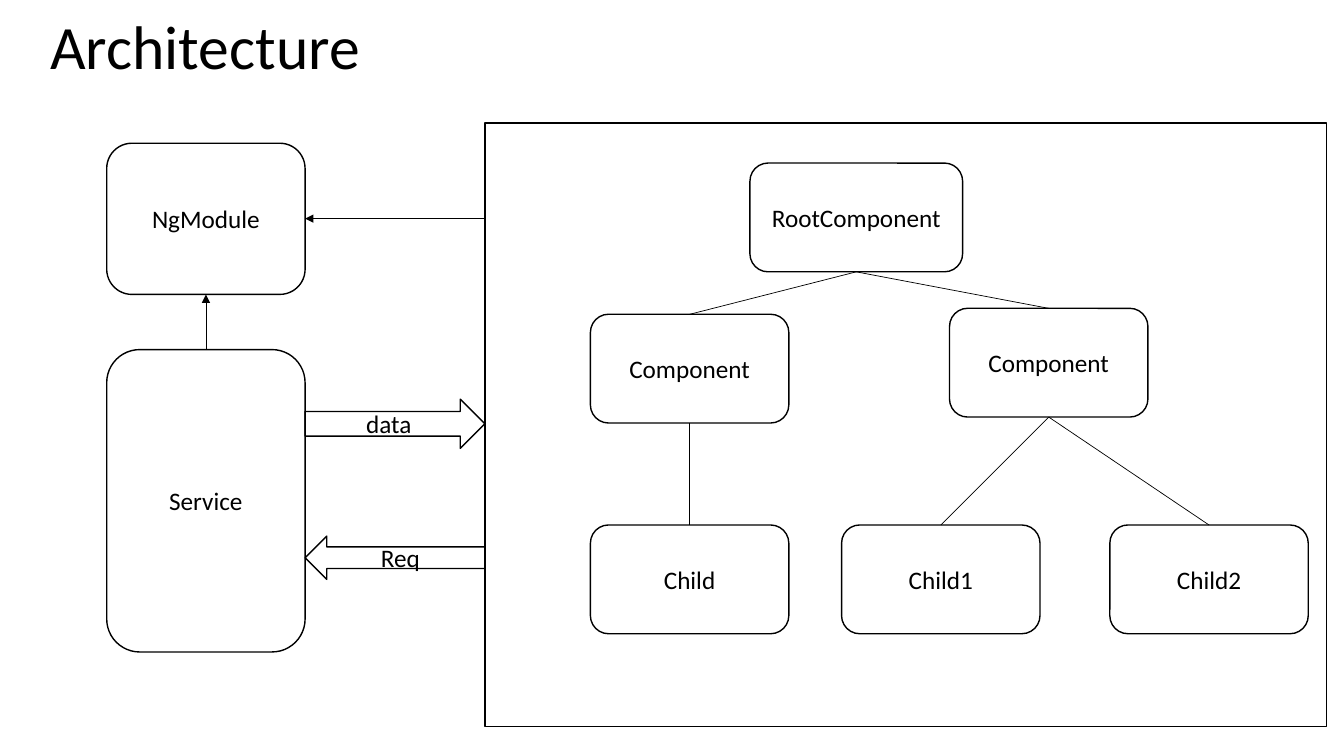
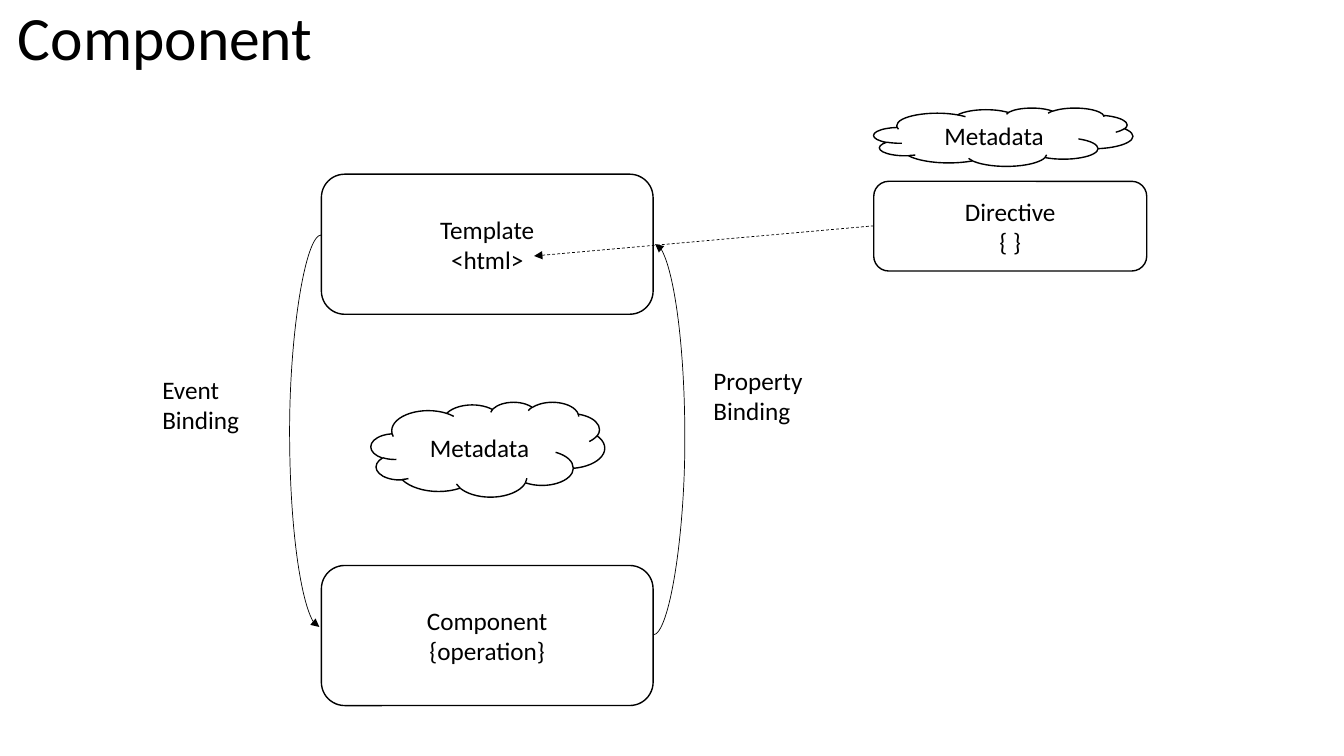
from dataclasses import dataclass

from pptx import Presentation
from pptx.dml.color import RGBColor
from pptx.enum.dml import MSO_LINE
from pptx.enum.shapes import MSO_CONNECTOR, MSO_SHAPE
from pptx.enum.text import MSO_ANCHOR, PP_ALIGN
from pptx.oxml.ns import qn
from pptx.shapes.autoshape import Shape
from pptx.shapes.connector import Connector
from pptx.slide import Slide
from pptx.util import Cm, Pt
from lxml.etree import SubElement

BLACK = RGBColor(0x00, 0x00, 0x00)
WHITE = RGBColor(0xFF, 0xFF, 0xFF)
FONT = "Calibri"
TITLE_SIZE = 44
BODY_SIZE = 18
TOP, BOTTOM = 0, 2

ROUND = MSO_SHAPE.ROUNDED_RECTANGLE
CLOUD = MSO_SHAPE.CLOUD

Point = tuple[float, float]


@dataclass(frozen=True)
class Node:
    text: str
    left: float
    top: float
    width: float = 5
    height: float = 2.74
    kind: MSO_SHAPE = ROUND
    fill: RGBColor | None = None


@dataclass(frozen=True)
class Label:
    text: str
    left: float
    top: float
    width: float
    height: float


def write(sp: Shape, text: str, size: float, align: PP_ALIGN, anchor: MSO_ANCHOR) -> None:
    tf = sp.text_frame
    tf.word_wrap = True
    tf.vertical_anchor = anchor
    tf.text = text
    for p in tf.paragraphs:
        p.alignment = align
        p.font.name = FONT
        p.font.size = Pt(size)
        p.font.color.rgb = BLACK


def add_label(s: Slide, label: Label, size: float = BODY_SIZE,
              anchor: MSO_ANCHOR = MSO_ANCHOR.TOP) -> Shape:
    sp = s.shapes.add_textbox(Cm(label.left), Cm(label.top), Cm(label.width), Cm(label.height))
    write(sp, label.text, size, PP_ALIGN.LEFT, anchor)
    return sp


def add_title(s: Slide, title: Label) -> None:
    sp = add_label(s, title, TITLE_SIZE, MSO_ANCHOR.MIDDLE)
    sp.text_frame.paragraphs[0].line_spacing = 0.9


def add_node(s: Slide, node: Node) -> Shape:
    sp = s.shapes.add_shape(node.kind, Cm(node.left), Cm(node.top), Cm(node.width), Cm(node.height))
    sp.shadow.inherit = False
    if node.fill is None:
        sp.fill.background()
    else:
        sp.fill.solid()
        sp.fill.fore_color.rgb = node.fill
    sp.line.color.rgb = BLACK
    sp.line.width = Pt(1)
    if node.text:
        write(sp, node.text, BODY_SIZE, PP_ALIGN.CENTER, MSO_ANCHOR.MIDDLE)
    return sp


def add_line(s: Slide, start: Point, end: Point, arrow: bool = True, dashed: bool = False,
             bulge: float = 0) -> Connector:
    kind = MSO_CONNECTOR.CURVE if bulge else MSO_CONNECTOR.STRAIGHT
    c = s.shapes.add_connector(kind, *(Cm(v) for v in (*start, *end)))
    c.line.color.rgb = BLACK
    c.line.width = Pt(0.5)
    if dashed:
        c.line.dash_style = MSO_LINE.DASH
    props = c._element.spPr
    if arrow:
        SubElement(props.find(qn("a:ln")), qn("a:tailEnd"), type="triangle")
    if bulge:
        ratio = bulge / abs(end[0] - start[0])
        guides = props.find(qn("a:prstGeom")).find(qn("a:avLst"))
        SubElement(guides, qn("a:gd"), name="adj1", fmla=f"val {round(ratio * 100000)}")
    SubElement(props, qn("a:effectLst"))
    return c


def link(s: Slide, source: Shape, source_site: int, target: Shape, target_site: int,
         arrow: bool = False) -> None:
    c = add_line(s, (0, 0), (1, 1), arrow)
    c.begin_connect(source, source_site)
    c.end_connect(target, target_site)


def build_architecture(s: Slide) -> None:
    add_title(s, Label("Architecture", 1.02, 0.2, 29.21, 2.11))
    child_top = 13.23
    nodes = {
        "module": Node("NgModule", 2.69, 3.61, height=3.81, fill=WHITE),
        "child": Node("Child", 14.88, child_top, fill=WHITE),
        "child1": Node("Child1", 21.21, child_top, fill=WHITE),
        "child2": Node("Child2", 27.97, child_top, fill=WHITE),
        "service": Node("Service", 2.69, 8.81, height=7.62, fill=WHITE),
        "left": Node("Component", 14.88, 7.92, fill=WHITE),
        "right": Node("Component", 23.93, 7.77, fill=WHITE),
        "root": Node("RootComponent", 18.9, 4.11, width=5.36, fill=WHITE),
    }
    shapes = {key: add_node(s, node) for key, node in nodes.items()}
    tree = {"root": ("left", "right"), "left": ("child",), "right": ("child1", "child2")}
    for parent, children in tree.items():
        for child in children:
            link(s, shapes[parent], BOTTOM, shapes[child], TOP)

    service_right, frame_left = 7.69, 12.22
    gap = frame_left - service_right
    add_node(s, Node("", frame_left, 3.1, 21.21, 15.21, MSO_SHAPE.RECTANGLE))
    add_node(s, Node("data", service_right, 10.06, gap, 1.24, MSO_SHAPE.RIGHT_ARROW))
    link(s, shapes["service"], TOP, shapes["module"], BOTTOM, arrow=True)
    add_line(s, (frame_left, 5.51), (service_right, 5.51))
    add_node(s, Node("Req", service_right, 13.51, gap, 1.09, MSO_SHAPE.LEFT_ARROW))


def build_component(s: Slide) -> None:
    add_title(s, Label("Component", 0.2, 0.05, 29.21, 1.93))
    for node in (
        Node("Metadata", 22.02, 2.72, 6.53, 1.47, CLOUD),
        Node("Template\n<html>", 8.1, 4.39, 8.36, 3.53),
        Node("Component\v{operation}", 8.1, 14.25, 8.36, 3.53),
        Node("Metadata", 9.35, 10.13, 5.89, 2.39, CLOUD),
        Node("Directive\n{ }", 22.02, 4.57, 6.88, 2.26),
    ):
        add_node(s, node)
    add_line(s, (8.1, 5.92), (8.05, 15.8), bulge=0.8)
    add_line(s, (16.46, 16), (16.51, 6.15), bulge=0.8)
    add_label(s, Label("Property\nBinding", 17.73, 9.07, 4.29, 2.03))
    add_label(s, Label("Event\nBinding", 3.84, 9.3, 3.25, 2.03))
    add_line(s, (22.02, 5.69), (13.46, 6.45), dashed=True)


def main() -> None:
    prs = Presentation()
    prs.slide_width, prs.slide_height = Cm(33.87), Cm(19.05)
    blank = prs.slide_layouts[6]
    for build in (build_architecture, build_component):
        build(prs.slides.add_slide(blank))
    prs.save("out.pptx")


if __name__ == "__main__":
    main()
